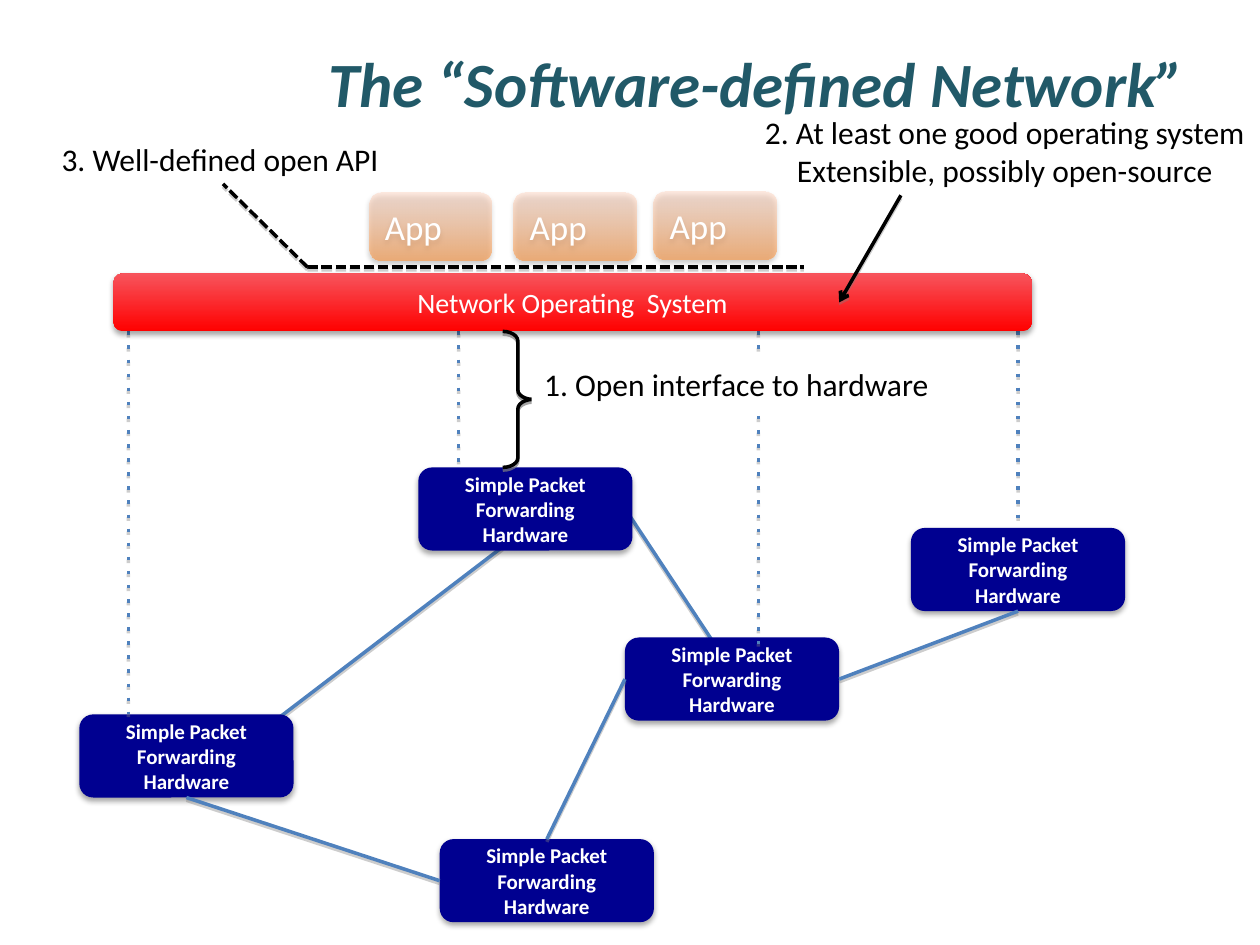
import pptx
import pptx.util
import pptx.dml.color
import pptx.enum.shapes
import pptx.enum.text
import pptx.oxml.ns
import lxml.etree

Inches = pptx.util.Inches
Pt = pptx.util.Pt
qn = pptx.oxml.ns.qn
Shapes = pptx.enum.shapes.MSO_SHAPE
Align = pptx.enum.text.PP_ALIGN
Anchor = pptx.enum.text.MSO_ANCHOR


def color(value):
    return pptx.dml.color.RGBColor.from_string(value)


def add_child(parent, tag, **attributes):
    return lxml.etree.SubElement(parent, qn(tag), attributes)


class NetworkSlide:
    FONT = "Calibri"
    BLACK = "000000"
    WHITE = "FFFFFF"
    NAVY = "000090"
    BLUE = "4F81BD"
    TEAL = "215968"
    NODE_WIDTH = 1.7
    NODE_HEIGHT = 0.66

    def __init__(self, presentation):
        self.slide = presentation.slides.add_slide(presentation.slide_layouts[5])

    def format_text(self, shape, text, size, font_color, align=Align.LEFT, bold=False, italic=False):
        shape.text_frame.text = text
        for paragraph in shape.text_frame.paragraphs:
            paragraph.alignment = align
            for run in paragraph.runs:
                run.font.name = self.FONT
                run.font.size = Pt(size)
                run.font.bold = bold
                run.font.italic = italic
                run.font.color.rgb = color(font_color)

    def drop_shadow(self, shape, shade, opacity, blur, distance):
        properties = shape.element.spPr
        effects = properties.find(qn("a:effectLst"))
        if effects is None:
            effects = add_child(properties, "a:effectLst")
        shadow = add_child(effects, "a:outerShdw", blurRad=str(Pt(blur)), dist=str(Pt(distance)),
                           dir="5400000", rotWithShape="0")
        add_child(add_child(shadow, "a:srgbClr", val=shade), "a:alpha", val=str(opacity * 1000))

    def title(self, text):
        shape = self.slide.shapes.title
        shape.left, shape.top, shape.width, shape.height = map(Inches, (0.5, 0.3, 9, 1.25))
        self.format_text(shape, text, 36, self.TEAL, Align.RIGHT, bold=True, italic=True)
        shape.text_frame.vertical_anchor = Anchor.TOP

    def shape(self, kind, left, top, width, height):
        shape = self.slide.shapes.add_shape(kind, *map(Inches, (left, top, width, height)))
        shape.shadow.inherit = False
        return shape

    def block(self, left, top, width, height, text, size, colors, align=Align.CENTER, bold=False, opacities=()):
        shape = self.shape(Shapes.ROUNDED_RECTANGLE, left, top, width, height)
        shape.line.fill.background()
        if len(colors) == 1:
            shape.fill.solid()
            shape.fill.fore_color.rgb = color(colors[0])
        else:
            shape.fill.gradient()
            shape.fill.gradient_angle = 90
            for stop, value in zip(shape.fill.gradient_stops, colors):
                stop.color.rgb = color(value)
            stop_colors = shape.element.spPr.iter(qn("a:srgbClr"))
            for stop_color, opacity in zip(stop_colors, opacities):
                add_child(stop_color, "a:alpha", val=str(opacity * 1000))
        self.drop_shadow(shape, self.BLACK, 35, 3.15, 1.81)
        self.format_text(shape, text, size, self.WHITE, align, bold)
        shape.text_frame.vertical_anchor = Anchor.MIDDLE
        return shape

    def node(self, left, top):
        return self.block(left, top, self.NODE_WIDTH, self.NODE_HEIGHT,
                          "Simple Packet Forwarding Hardware", 12, [self.NAVY], bold=True)

    def app(self, left, top):
        return self.block(left, top, 0.97, 0.54, "App", 20, ["FF953E", "FFD2BD"], Align.LEFT, opacities=(60, 45))

    def brace(self, left, top, width, height):
        shape = self.shape(Shapes.RIGHT_BRACE, left, top, width, height)
        shape.adjustments[0] = 0.315
        shape.adjustments[1] = 0.5
        shape.fill.background()
        shape.line.color.rgb = color(self.BLACK)
        shape.line.width = Pt(2)
        self.drop_shadow(shape, "808080", 69, 0, 1.57)

    def label(self, left, top, width, height, text, align=Align.LEFT, filled=False):
        shape = self.slide.shapes.add_textbox(*map(Inches, (left, top, width, height)))
        self.format_text(shape, text, 18, self.BLACK, align)
        shape.text_frame.word_wrap = filled
        shape.text_frame.auto_size = pptx.enum.text.MSO_AUTO_SIZE.SHAPE_TO_FIT_TEXT
        if filled:
            shape.fill.solid()
            shape.fill.fore_color.rgb = color(self.WHITE)

    def line(self, start, end, line_color, dash=None, arrow=False, begin=None, finish=None):
        connector = self.slide.shapes.add_connector(
            pptx.enum.shapes.MSO_CONNECTOR.STRAIGHT, *map(Inches, (*start, *end)))
        if begin:
            connector.begin_connect(*begin)
        if finish:
            connector.end_connect(*finish)
        connector.line.color.rgb = color(line_color)
        connector.line.width = Pt(2)
        outline = connector.element.spPr.find(qn("a:ln"))
        if dash:
            add_child(outline, "a:prstDash", val=dash)
        if arrow:
            add_child(outline, "a:tailEnd", type="arrow")
        self.drop_shadow(connector, "808080", 38, 0, 1.57)


def main():
    presentation = pptx.Presentation()
    presentation.slide_width = Inches(10)
    presentation.slide_height = Inches(7.5)
    page = NetworkSlide(presentation)
    page.title("The “Software-defined Network”")

    for left, top in ((2.93, 1.53), (4.08, 1.53), (5.19, 1.52)):
        page.app(left, top)

    page.line((2.17, 5.73), (3.99, 4.34), page.BLUE)
    page.line((4.83, 3.84), (5.67, 5.11), page.BLUE)
    west = page.node(0.63, 5.67)
    center = page.node(4.96, 5.06)
    south = page.node(3.49, 6.66)
    page.node(3.32, 3.71)
    east = page.node(7.23, 4.19)
    page.line((4.34, 6.66), (4.96, 5.39), page.BLUE, begin=(south, 0), finish=(center, 1))
    page.line((1.48, 6.33), (3.49, 6.99), page.BLUE, begin=(west, 2), finish=(south, 1))
    page.line((6.66, 5.39), (8.08, 4.85), page.BLUE, begin=(center, 3), finish=(east, 2))

    system_bottom = 2.63
    for x, bottom, finish in ((1.02, 5.67, None), (3.64, 3.71, None), (6.02, 5.11, None), (8.08, 4.19, (east, 0))):
        page.line((x, system_bottom), (x, bottom), page.BLUE, dash="dot", finish=finish)
    page.block(0.9, 2.17, 7.29, 0.46, "Network Operating  System", 16, ["FF0000", "F7545C"])

    page.brace(3.99, system_bottom, 0.24, 1.08)
    page.label(4.22, 2.85, 3.28, 0.4, "1. Open interface to hardware", filled=True)

    api_corner = (2.44, 2.12)
    for end in ((6.38, 2.12), (1.77, 1.46)):
        page.line(api_corner, end, page.BLACK, dash="sysDash")
    page.label(0.39, 1.06, 2.74, 0.4, "3. Well-defined open API")

    page.label(5.95, 0.85, 4.05, 0.71,
               "2. At least one good operating system\nExtensible, possibly open-source", Align.CENTER)
    page.line((7.15, 1.55), (6.66, 2.4), page.BLACK, arrow=True)

    presentation.save("out.pptx")


if __name__ == "__main__":
    main()
